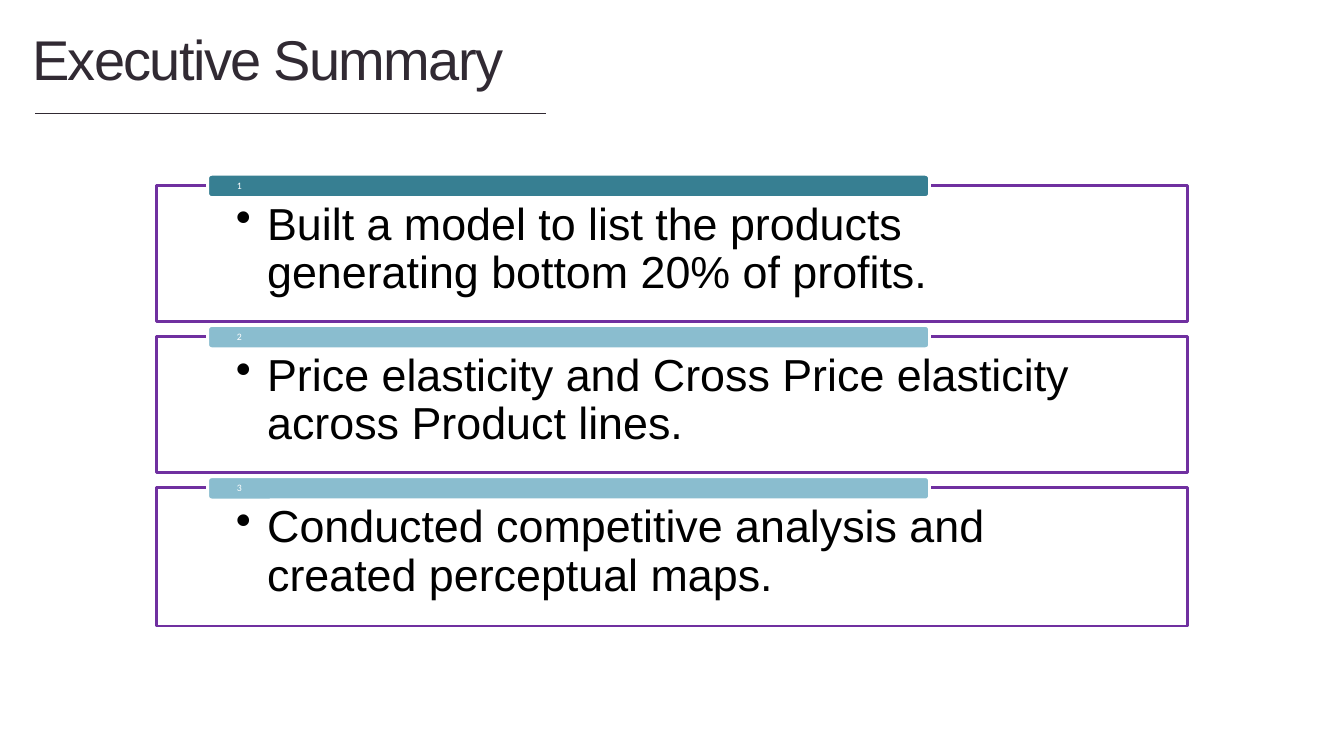
from lxml.etree import SubElement as Sub
from pptx import Presentation
from pptx.dml.color import RGBColor
from pptx.enum.shapes import MSO_CONNECTOR as Link, MSO_SHAPE as Kind
from pptx.enum.text import MSO_ANCHOR as Anchor, PP_ALIGN as Align
from pptx.oxml.ns import qn
from pptx.util import Inches, Pt

INK = RGBColor(0x31, 0x2A, 0x33)
BLACK = RGBColor(0, 0, 0)
WHITE = RGBColor(0xFF, 0xFF, 0xFF)
PURPLE = RGBColor(0x70, 0x30, 0xA0)
TEAL = RGBColor(0x37, 0x7F, 0x92)
PALE = RGBColor(0x8A, 0xBD, 0xCF)

POINTS = [
    ("Built a model to list the products generating bottom 20% of profits.", TEAL, 1.35),
    ("Price elasticity and Cross Price elasticity across Product lines.", PALE, 1.35),
    ("Conducted competitive analysis and created perceptual maps.", PALE, 1.37),
]
TOP, STEP = 1.84, 1.5


def write(shape, text, font, size, color, pads, anchor=Anchor.TOP):
    """Put one styled paragraph in a shape and return it."""
    frame = shape.text_frame
    frame.word_wrap = True
    frame.vertical_anchor = anchor
    frame.margin_left, frame.margin_top, frame.margin_right, frame.margin_bottom = map(Inches, pads)
    para = frame.paragraphs[0]
    para.text = text
    para.alignment = Align.LEFT
    para.font.name, para.font.size = font, Pt(size)
    para.font.color.rgb = color
    return para


def add_box(slide, kind, place, fill, line):
    """Add a filled and outlined shape."""
    box = slide.shapes.add_shape(kind, *map(Inches, place))
    box.shadow.inherit = False
    box.fill.solid()
    box.fill.fore_color.rgb = fill
    box.line.color.rgb = line
    box.line.width = Pt(2)
    return box


def add_bullet(para):
    """Give a paragraph a round bullet with a hanging indent."""
    props = para._p.get_or_add_pPr()
    props.set("marL", str(Inches(0.31)))
    props.set("indent", str(-Inches(0.31)))
    mark = props.makeelement(qn("a:buChar"), {"char": "•"})
    props.insert_element_before(mark, "a:tabLst", "a:defRPr", "a:extLst")


def add_title(slide, text):
    """Add the heading and the rule below it."""
    box = slide.shapes.add_textbox(*map(Inches, (0.31, 0.19, 5.69, 0.69)))
    para = write(box, text, "Arial", 40, INK, (0.01, 0.05, 0, 0))
    para.runs[0].font._element.set("spc", "-120")
    ends = map(Inches, (0.35, 1.12, 5.42, 1.12))
    rule = slide.shapes.add_connector(Link.STRAIGHT, *ends)
    rule.line.color.rgb = INK
    rule.line.width = Pt(0.48)
    Sub(rule._element.spPr, qn("a:effectLst"))


def add_point(slide, num, text, color, high):
    """Add a framed point with its numbered bar."""
    top = TOP + (num - 1) * STEP
    frame = add_box(slide, Kind.RECTANGLE, (1.55, top, 10.23, high), WHITE, PURPLE)
    tint = frame.fill._xPr.find(qn("a:solidFill"))[0]
    Sub(tint, qn("a:alpha"), val="90000")
    para = write(frame, text, "Arial", 32, BLACK, (0.79, 0.16, 0.79, 0.25))
    para.line_spacing = 0.9
    add_bullet(para)
    bar = add_box(slide, Kind.ROUNDED_RECTANGLE, (2.06, top - 0.11, 7.16, 0.23), color, WHITE)
    label = write(bar, str(num), "Calibri", 7, WHITE, (0.28, 0, 0.28, 0), Anchor.MIDDLE)
    label.line_spacing = 0.9


def main():
    """Build and save the slide."""
    deck = Presentation()
    deck.slide_width, deck.slide_height = Inches(13.33), Inches(7.5)
    slide = deck.slides.add_slide(deck.slide_layouts[6])
    add_title(slide, "Executive Summary")
    for num, point in enumerate(POINTS, 1):
        add_point(slide, num, *point)
    deck.save("out.pptx")


if __name__ == "__main__":
    main()
